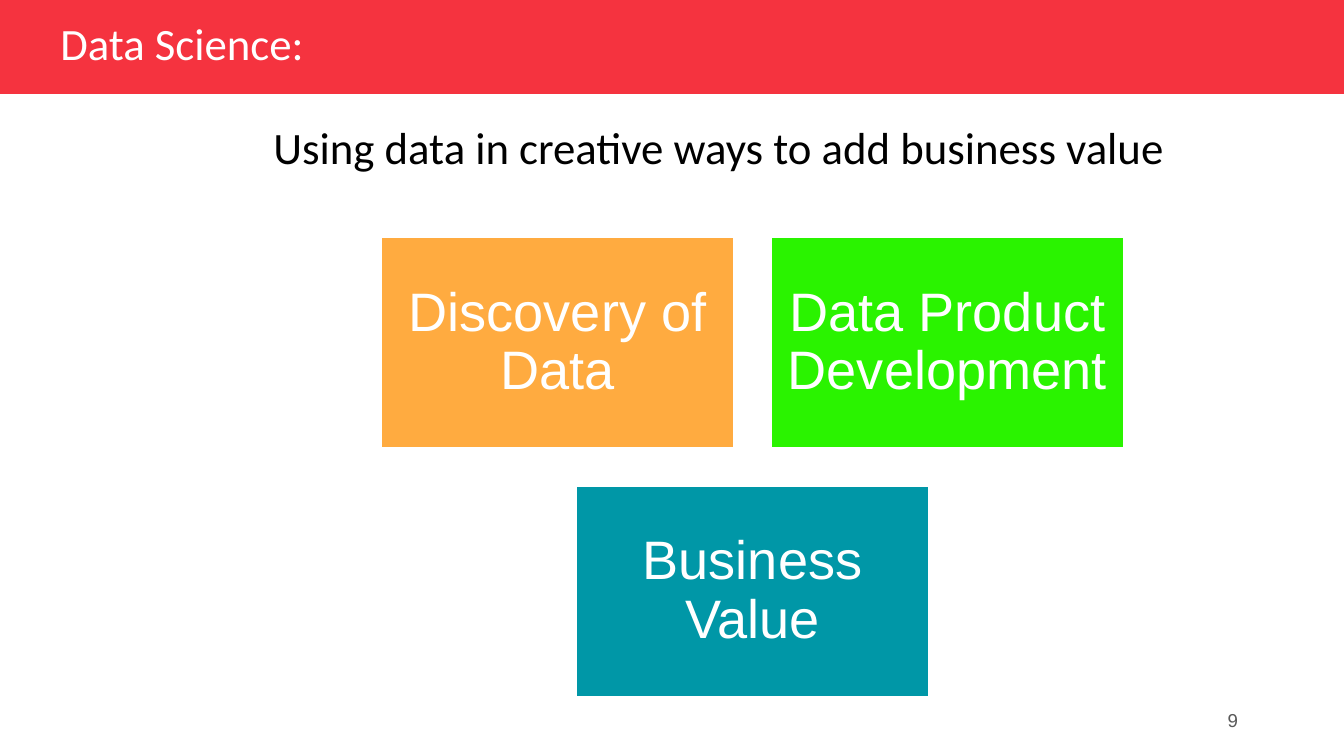
from pptx import Presentation
from pptx.dml.color import RGBColor
from pptx.enum.shapes import MSO_SHAPE as Shape
from pptx.enum.text import MSO_ANCHOR as Anchor, PP_ALIGN as Align
from pptx.util import Inches, Pt

WIDTH = 10
HEIGHT = WIDTH * 9 / 16
BANNER = (0, 0, WIDTH, 0.7)
WHITE = "FFFFFF"

LABELS = [
    ("Using data in creative ways to add business value", (1.12, 0.89, 8.2, 0.71),
     "Calibri", 24, "000000", Align.CENTER, Anchor.TOP, 0.9, 0.35),
    ("Data Science:", (0.35, 0.13, 4.09, 0.42), "Calibri", 24, WHITE,
     Align.LEFT, Anchor.MIDDLE, 0.9, 0.1),
    ("9", (7.06, 5.21, 2.25, 0.3), "Arial", 10, "595959",
     Align.RIGHT, Anchor.MIDDLE, 1, 0.1),
]
CARD_ROWS = [
    [("Discovery of Data", "FFAB40"), ("Data Product Development", "2AF300")],
    [("Business Value", "0097A7")],
]
CARD_W, CARD_H = 2.64, 1.58
GAP_X, GAP_Y = 0.26, 0.27
CARDS_CENTER, CARDS_TOP = 5.6, 1.76


def rgb(color):
    """Return the colour of a hex string."""
    return RGBColor.from_string(color)


def write(sp, text, font, size, color, align, anchor, spacing, insets):
    """Put one formatted run into a shape."""
    tf = sp.text_frame
    tf.word_wrap = True
    tf.vertical_anchor = anchor
    tf.margin_left, tf.margin_top, tf.margin_right, tf.margin_bottom = map(Inches, insets)
    p = tf.paragraphs[0]
    p.alignment, p.line_spacing = align, spacing
    r = p.add_run()
    r.text = text
    r.font.name, r.font.size = font, Pt(size)
    r.font.color.rgb = rgb(color)


def add_rect(s, box, fill):
    """Add a plain filled rectangle without outline or shadow."""
    sp = s.shapes.add_shape(Shape.RECTANGLE, *map(Inches, box))
    sp.shadow.inherit = False
    sp.fill.solid()
    sp.fill.fore_color.rgb = rgb(fill)
    sp.line.fill.background()
    return sp


def add_cards(s):
    """Add the rows of cards, each row centred on the same axis."""
    for i, row in enumerate(CARD_ROWS):
        row_w = len(row) * (CARD_W + GAP_X) - GAP_X
        top = CARDS_TOP + i * (CARD_H + GAP_Y)
        for j, (text, fill) in enumerate(row):
            left = CARDS_CENTER - row_w / 2 + j * (CARD_W + GAP_X)
            sp = add_rect(s, (left, top, CARD_W, CARD_H), fill)
            sp.line.color.rgb = rgb(WHITE)
            sp.line.width = Pt(2)
            write(sp, text, "Arial", 29, WHITE, Align.CENTER, Anchor.MIDDLE, 0.9, [0.12] * 4)


def main():
    """Build and save the slide."""
    prs = Presentation()
    prs.slide_width, prs.slide_height = Inches(WIDTH), Inches(HEIGHT)
    s = prs.slides.add_slide(prs.slide_layouts[6])
    add_rect(s, BANNER, "F5333F")
    for text, box, font, size, color, align, anchor, spacing, inset in LABELS:
        sp = s.shapes.add_textbox(*map(Inches, box))
        write(sp, text, font, size, color, align, anchor, spacing, (inset, 0.05, 0.1, 0.05))
    add_cards(s)
    prs.save("out.pptx")


if __name__ == "__main__":
    main()
